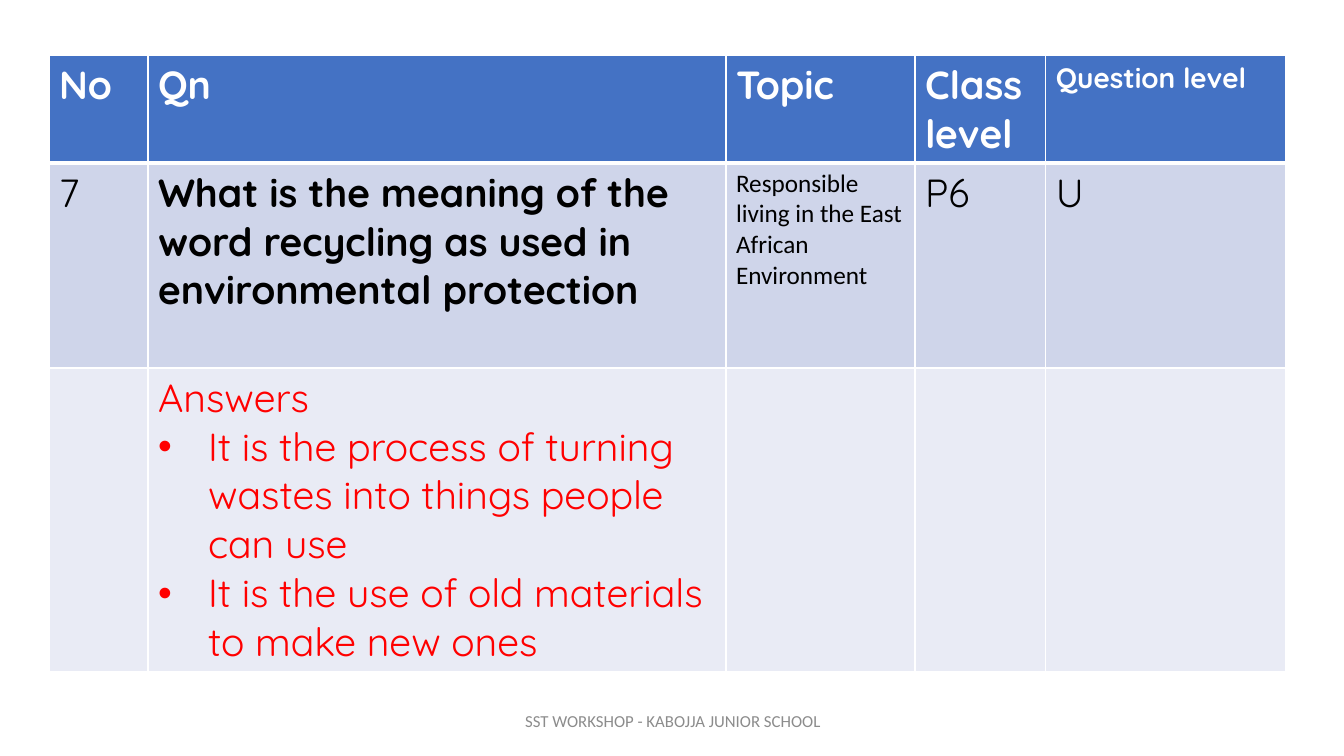
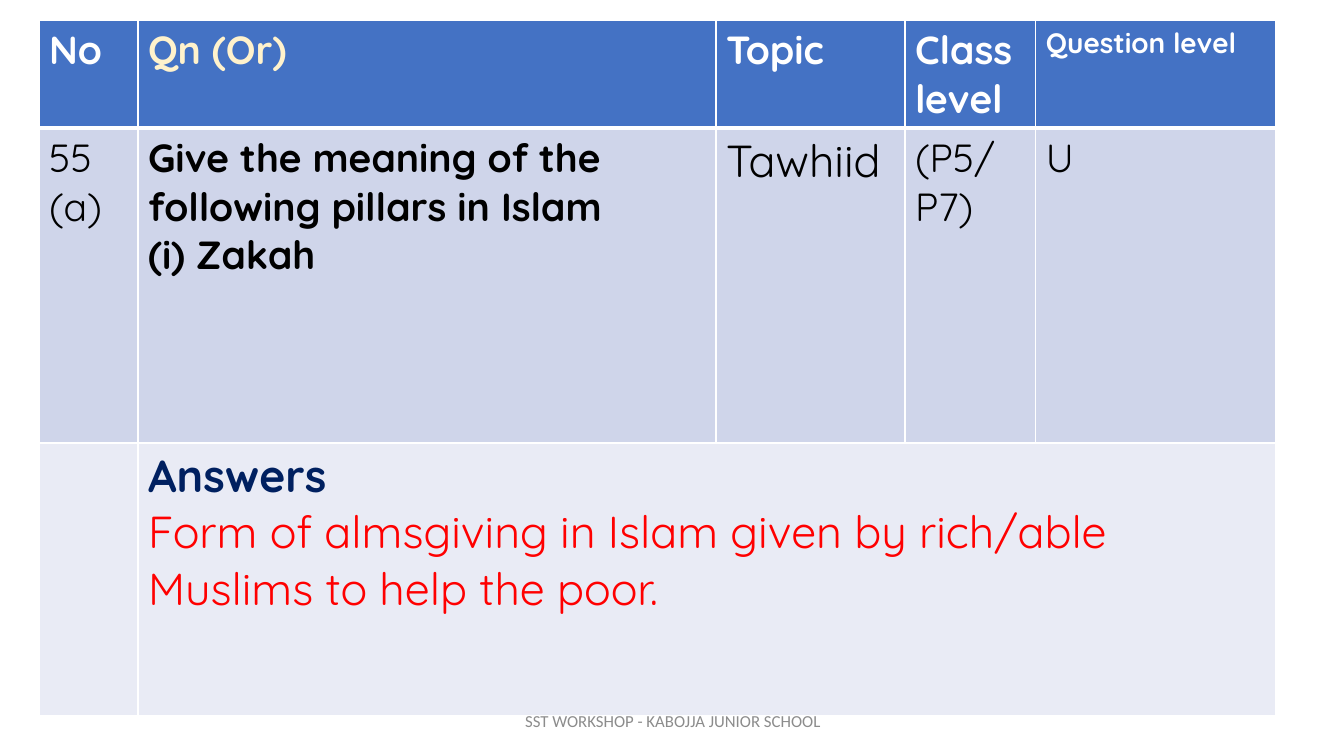
import dataclasses

import lxml.etree
import pptx
import pptx.dml.color
import pptx.enum.text
import pptx.oxml.ns
import pptx.util

PX = 12192000 / 1344
FONT, PLAIN_FONT = "Quicksand", "Calibri"
WHITE, BLACK, RED, NAVY, CREAM, GREY = "FFFFFF", "000000", "FF0000", "002060", "FFF2CC", "8C8C8C"
ROW_FILLS = ["4472C4", "CFD5EA", "E9EBF5"]
COLUMNS = [99, 578, 189, 131, 240]
FOOTER = "SST WORKSHOP - KABOJJA JUNIOR SCHOOL"
FOOTER_BOX = (446, 701, 454, 40)


@dataclasses.dataclass
class Para:
    text: str
    size: int = 28
    color: str = BLACK
    bold: bool = False
    font: str = FONT
    bullet: bool = False


def px(n):
    return pptx.util.Emu(round(n * PX))


def rgb(color):
    return pptx.dml.color.RGBColor.from_string(color)


def add_xml(parent, tag, **attrs):
    return lxml.etree.SubElement(parent, pptx.oxml.ns.qn(tag), attrs)


def write(tf, paras):
    for i, para in enumerate(paras):
        p = tf.add_paragraph() if i else tf.paragraphs[0]
        p.text = para.text
        if para.bullet:
            pPr = p._p.get_or_add_pPr()
            pPr.set("marL", str(px(50)))
            pPr.set("indent", str(-px(50)))
            add_xml(pPr, "a:buFont", typeface="Arial")
            add_xml(pPr, "a:buChar", char="•")
        p.font.name = para.font
        p.font.size = pptx.util.Pt(para.size)
        p.font.bold = para.bold
        p.font.color.rgb = rgb(para.color)


def style_cell(cell, row):
    """Give a cell white borders, with a heavy one under the header, and its row's fill."""
    tcPr = cell._tc.get_or_add_tcPr()
    for side in "LRTB":
        heavy = (row, side) in ((0, "B"), (1, "T"))
        ln = add_xml(tcPr, f"a:ln{side}", w=str(pptx.util.Pt(3 if heavy else 1)))
        add_xml(add_xml(ln, "a:solidFill"), "a:srgbClr", val=WHITE)
    cell.fill.solid()
    cell.fill.fore_color.rgb = rgb(ROW_FILLS[row])


def header(question="Qn", color=WHITE):
    labels = [("No", 28, WHITE), (question, 28, color), ("Topic", 28, WHITE),
              ("Class level", 28, WHITE), ("Question level", 20, WHITE)]
    return [[Para(text, size, c, bold=True)] for text, size, c in labels]


def add_question_table(slide, left, top, heights, rows, wide_answer=False):
    frame = slide.shapes.add_table(len(heights), len(COLUMNS), px(left), px(top),
                                   px(sum(COLUMNS)), px(sum(heights)))
    table = frame.table
    for column, width in zip(table.columns, COLUMNS):
        column.width = px(width)
    for r, height in enumerate(heights):
        table.rows[r].height = px(height)
        for c in range(len(COLUMNS)):
            style_cell(table.cell(r, c), r)
        for c, paras in enumerate(rows[r]):
            write(table.cell(r, c).text_frame, paras)
    if wide_answer:
        table.cell(2, 1).merge(table.cell(2, len(COLUMNS) - 1))


def add_footer(slide):
    tf = slide.shapes.add_textbox(*map(px, FOOTER_BOX)).text_frame
    tf.word_wrap = True
    tf.vertical_anchor = pptx.enum.text.MSO_ANCHOR.MIDDLE
    write(tf, [Para(FOOTER, 12, GREY, font=PLAIN_FONT)])
    tf.paragraphs[0].alignment = pptx.enum.text.PP_ALIGN.CENTER


def add_question_slide(prs, **table):
    slide = prs.slides.add_slide(prs.slide_layouts[6])
    add_question_table(slide, **table)
    add_footer(slide)


def main():
    prs = pptx.Presentation()
    prs.slide_width, prs.slide_height = px(1344), px(756)
    add_question_slide(prs, left=49, top=55, heights=[108, 205, 304], rows=[
        header(),
        [[Para("7")],
         [Para("What is the meaning of the word recycling as used in environmental protection",
               bold=True)],
         [Para("Responsible living in the East African Environment", 18, font=PLAIN_FONT)],
         [Para("P6")],
         [Para("U")]],
        [[],
         [Para("Answers", color=RED),
          Para("It is the process of turning wastes into things people can use",
               color=RED, bullet=True),
          Para("It is the use of old materials to make new ones", color=RED, bullet=True)]],
    ])
    add_question_slide(prs, left=39, top=20, heights=[108, 315, 273], wide_answer=True, rows=[
        header("Qn (Or)", CREAM),
        [[Para("55"), Para("(a)")],
         [Para("Give the meaning of the following pillars in Islam", bold=True),
          Para("(i) Zakah", bold=True)],
         [Para("Tawhiid", 32)],
         [Para("(P5/P7)")],
         [Para("U")]],
        [[],
         [Para("Answers", 32, NAVY, bold=True),
          Para("Form of almsgiving in Islam given by rich/able Muslims to help the poor.",
               32, RED)]],
    ])
    prs.save("out.pptx")


if __name__ == "__main__":
    main()
